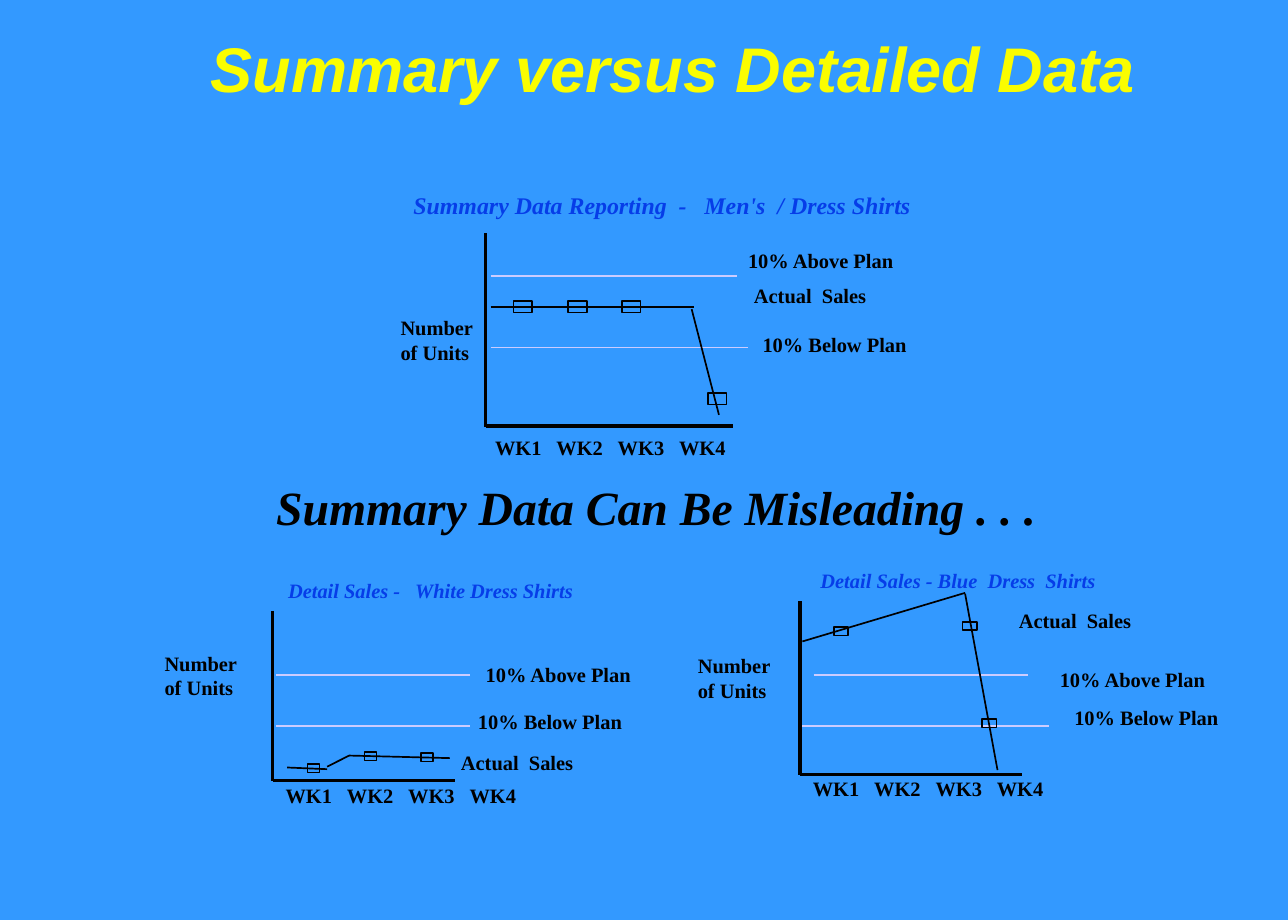
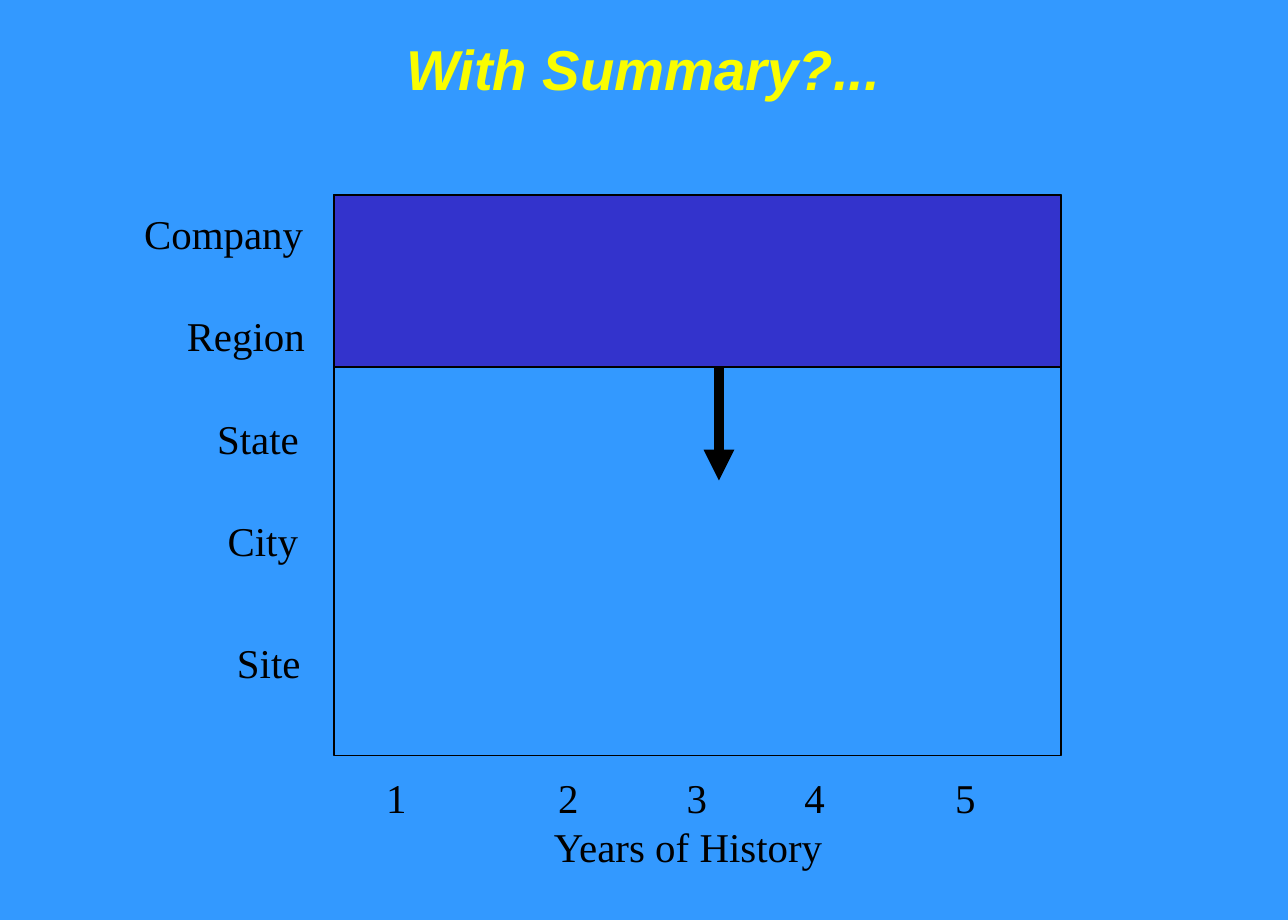
from dataclasses import dataclass

from lxml.etree import SubElement
from pptx import Presentation
from pptx.dml.color import RGBColor
from pptx.enum.shapes import MSO_CONNECTOR as Connector, MSO_SHAPE as Shape
from pptx.enum.text import MSO_ANCHOR as Anchor, PP_ALIGN as Align
from pptx.oxml.ns import qn
from pptx.util import Pt

COLORS = {
    "background": "3399FF",
    "title": "FAFD00",
    "heading": "063DE8",
    "ink": "000000",
    "plan": "CCCCFF",
    "summary": "3333CC",
}
TITLE_FONT = "Arial"
BODY_FONT = "Times New Roman"
WEEK_PITCH = 36


@dataclass
class SalesChart:
    """Places of one sales sketch; every position is in points."""
    heading: str
    heading_at: tuple
    heading_size: int
    origin: tuple
    axis_top: float
    axis_right: float
    units_at: tuple
    weeks_at: tuple
    plan_lines: list
    sales_lines: list
    marker_size: tuple
    markers: list
    above_at: tuple
    below_at: tuple
    sales_at: tuple


SALES_CHARTS = [
    SalesChart(
        heading="Summary Data Reporting  -   Men's  / Dress Shirts",
        heading_at=(235.5, 108.5), heading_size=14,
        origin=(285, 250), axis_top=137, axis_right=430.5,
        units_at=(228, 181.5), weeks_at=(283.5, 252),
        plan_lines=[(288, 162, 432.5), (288, 204, 439)],
        sales_lines=[(288, 180, 407.5, 180), (406, 181.5, 422, 243.5)],
        marker_size=(11, 7),
        markers=[(301.5, 176.5), (333.5, 176.5), (365, 176.5), (415.5, 230.5)],
        above_at=(432, 142), below_at=(440.5, 191.5), sales_at=(435.5, 162.5),
    ),
    SalesChart(
        heading="Detail Sales -   White Dress Shirts",
        heading_at=(162, 336), heading_size=12,
        origin=(160, 458), axis_top=358.5, axis_right=267,
        units_at=(89.5, 378.5), weeks_at=(160.5, 456),
        plan_lines=[(162, 396, 276), (162, 426, 276)],
        sales_lines=[(168.5, 450.5, 192, 451.5), (192, 450, 205, 443.5),
                     (205, 443.5, 264, 445)],
        marker_size=(7, 5),
        markers=[(180.5, 448.5), (214, 441.5), (247, 442)],
        above_at=(278, 385), below_at=(273.5, 412.5), sales_at=(263.5, 437),
    ),
    SalesChart(
        heading="Detail Sales - Blue  Dress  Shirts",
        heading_at=(474.5, 330), heading_size=12,
        origin=(469.5, 454.5), axis_top=353, axis_right=600,
        units_at=(402.5, 380), weeks_at=(470, 452),
        plan_lines=[(477.5, 396, 603.5), (471, 426, 615.5)],
        sales_lines=[(471, 376.5, 566.5, 348), (566.5, 348.5, 585.5, 452)],
        marker_size=(8.5, 5),
        markers=[(489.5, 368), (565, 365), (576.5, 422)],
        above_at=(615, 388), below_at=(623.5, 410.5), sales_at=(591, 353.5),
    ),
]

# label, right edge, top
LEVELS = [("Company", 185, 119), ("Region", 186, 178.5), ("State", 182.5, 239),
          ("City", 182, 299), ("Site", 183.5, 371)]
YEAR_LEFTS = [219.5, 320.5, 396, 465, 553.5]


def rgb(name):
    return RGBColor.from_string(COLORS[name])


def add_text(page, text, left, top, width, height, *, size=12, font=BODY_FONT,
             color="ink", bold=False, italic=False, align=Align.LEFT,
             anchor=Anchor.TOP, spacing=None, tab_pitch=None):
    """Add a text box; each line of text becomes a paragraph."""
    box = page.shapes.add_textbox(Pt(left), Pt(top), Pt(width), Pt(height))
    frame = box.text_frame
    frame.word_wrap = True
    frame.vertical_anchor = anchor
    for index, line in enumerate(text.split("\n")):
        para = frame.add_paragraph() if index else frame.paragraphs[0]
        para.alignment = align
        if spacing:
            para.line_spacing = spacing
        if tab_pitch:
            add_tab_stops(para, tab_pitch, line.count("\t"))
        span = para.add_run()
        span.text = line
        span.font.name = font
        span.font.size = Pt(size)
        span.font.bold = bold
        span.font.italic = italic
        span.font.color.rgb = rgb(color)


def add_tab_stops(para, pitch, count):
    stops = SubElement(para._p.get_or_add_pPr(), qn("a:tabLst"))
    for number in range(1, count + 1):
        SubElement(stops, qn("a:tab"), pos=str(Pt(pitch * number)), algn="l")


def add_title(page, text, left, top, height, size):
    add_text(page, text, left, top, 722, height, size=size, font=TITLE_FONT,
             color="title", bold=True, italic=True, align=Align.CENTER,
             anchor=Anchor.MIDDLE, spacing=0.9)


def add_line(page, x1, y1, x2, y2, *, color="ink", width=1, arrow=False):
    line = page.shapes.add_connector(
        Connector.STRAIGHT, Pt(x1), Pt(y1), Pt(x2), Pt(y2))
    line.line.color.rgb = rgb(color)
    line.line.width = Pt(width)
    if arrow:
        SubElement(line.line._get_or_add_ln(), qn("a:tailEnd"), type="triangle")
    SubElement(line._element.spPr, qn("a:effectLst"))


def add_box(page, left, top, width, height, fill=None):
    box = page.shapes.add_shape(
        Shape.RECTANGLE, Pt(left), Pt(top), Pt(width), Pt(height))
    box.shadow.inherit = False
    if fill:
        box.fill.solid()
        box.fill.fore_color.rgb = rgb(fill)
    else:
        box.fill.background()
    box.line.color.rgb = rgb("ink")
    box.line.width = Pt(1)


def add_sales_chart(page, chart):
    x, y = chart.origin
    add_line(page, x, chart.axis_top, x, y + 0.5, width=2)
    add_line(page, x, y, chart.axis_right, y, width=2)
    for left, level, right in chart.plan_lines:
        add_line(page, left, level, right, level, color="plan")
    for ends in chart.sales_lines:
        add_line(page, *ends)
    for marker in chart.markers:
        add_box(page, *marker, *chart.marker_size)

    add_text(page, chart.heading, *chart.heading_at, 314, 24,
             size=chart.heading_size, color="heading", bold=True, italic=True)
    add_text(page, "Number\nof Units", *chart.units_at, 60, 36, bold=True)
    add_text(page, "WK1\tWK2\tWK3\tWK4", *chart.weeks_at, 154, 22,
             bold=True, tab_pitch=WEEK_PITCH)
    for label, place in (("10% Above Plan", chart.above_at),
                         ("10% Below Plan", chart.below_at),
                         ("Actual  Sales", chart.sales_at)):
        add_text(page, label, *place, 102, 22, bold=True)


def build_detail_slide(page):
    add_title(page, "Summary versus Detailed Data", 34, 18, 48, 37)
    for chart in SALES_CHARTS:
        add_sales_chart(page, chart)
    add_text(page, "Summary Data Can Be Misleading . . .", 155, 277, 467, 41,
             size=28, bold=True, italic=True)


def build_history_slide(page):
    add_title(page, "With Summary?...", 16.5, 11, 63, 33)
    left, top, width = 196, 114.5, 427
    add_box(page, left, top, width, 329)
    add_box(page, left, top, width, 101, fill="summary")
    add_line(page, 422, 216, 422, 282, width=6, arrow=True)

    label_width = 112
    for label, right, label_top in LEVELS:
        add_text(page, label, right - label_width, label_top, label_width, 36,
                 size=24, align=Align.RIGHT)
    for year, year_left in enumerate(YEAR_LEFTS, 1):
        add_text(page, str(year), year_left, 450, 27, 36, size=24)
    add_text(page, "Years of History", 318, 479, 176, 36, size=24)


def main():
    deck = Presentation()
    deck.slide_width, deck.slide_height = Pt(756), Pt(540)
    backdrop = deck.slide_master.background.fill
    backdrop.solid()
    backdrop.fore_color.rgb = rgb("background")
    blank = deck.slide_layouts[6]
    for build in (build_detail_slide, build_history_slide):
        build(deck.slides.add_slide(blank))
    deck.save("out.pptx")


if __name__ == "__main__":
    main()
